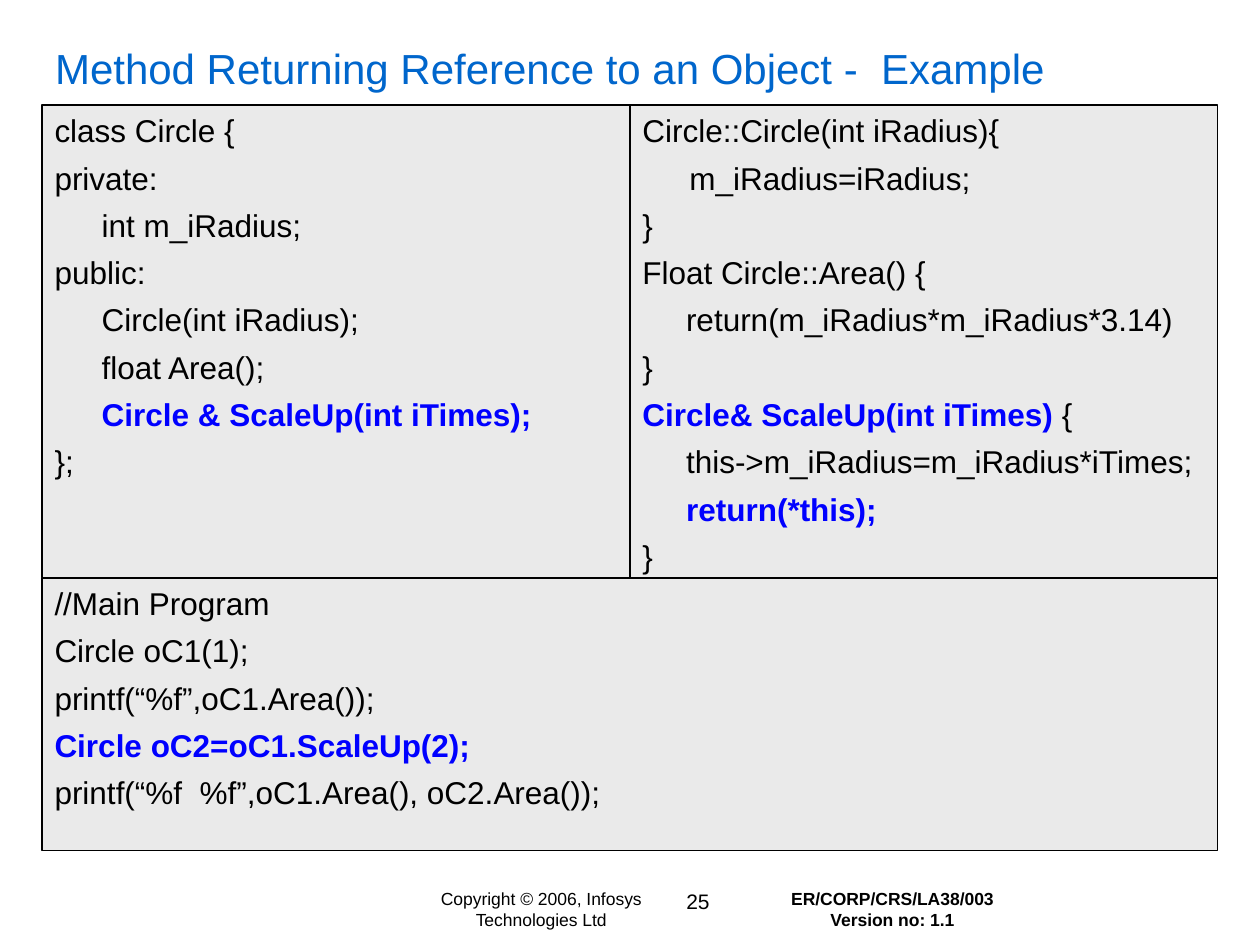
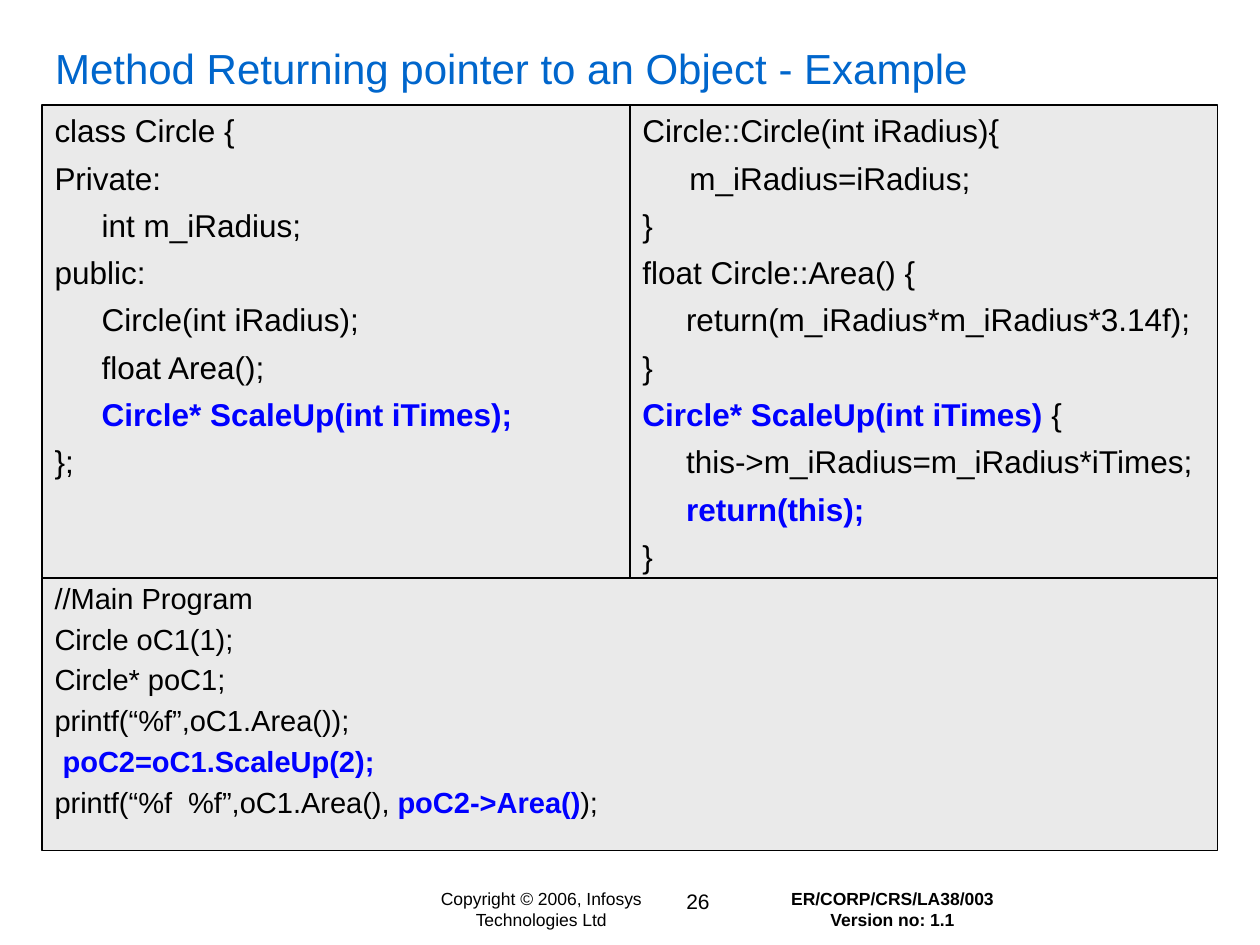
"""Builds two slides of C++ code on methods that return a reference or a pointer to an object."""
from pptx import Presentation
from pptx import util as u
from pptx.dml.color import RGBColor
from pptx.enum import shapes, text

COLOURS = {"title": "0066CC", "code": "000000", "key": "0000FF", "panel": "EAEAEA", "edge": "000000"}
FONT = "Arial"

# Text between bars is highlighted.
DECLARATION = [
    "class Circle {", "%(private)s:", "\tint m_iRadius;", "public:", "\tCircle(int iRadius);",
    "\tfloat Area();", "\t|%(declared)s ScaleUp(int iTimes);|", "};",
]
DEFINITION = [
    "Circle::Circle(int iRadius){", "\tm_iRadius=iRadius;", "}", "%(float)s Circle::Area() {",
    "     return(m_iRadius*m_iRadius*%(pi)s", "}", "|%(defined)s ScaleUp(int iTimes)| {",
    "     this->m_iRadius=m_iRadius*iTimes;", "     |return(%(result)s);|", "}",
]
EXAMPLES = [
    {
        "title": "Method Returning Reference to an Object -  Example",
        "page": 25,
        "words": {"private": "private", "declared": "Circle &", "float": "Float", "pi": "3.14)",
                  "defined": "Circle&", "result": "*this"},
        "main": ["//Main Program", "Circle oC1(1);", "printf(“%f”,oC1.Area());",
                 "|Circle oC2=oC1.ScaleUp(2);|", "printf(“%f  %f”,oC1.Area(), oC2.Area());"],
        "main_size": 18,
        "main_spacing": 1.0,
    },
    {
        "title": "Method Returning pointer to an Object - Example",
        "page": 26,
        "words": {"private": "Private", "declared": "Circle*", "float": "float", "pi": "3.14f);",
                  "defined": "Circle*", "result": "this"},
        "main": ["//Main Program", "Circle oC1(1);", "Circle* poC1;", "printf(“%f”,oC1.Area());",
                 "| poC2=oC1.ScaleUp(2);|", "printf(“%f  %f”,oC1.Area(), |poC2->Area()|);"],
        "main_size": 16.6,
        "main_spacing": 0.9,
    },
]
COPYRIGHT = ["Copyright © 2006, Infosys Technologies Ltd"]
VERSION = ["ER/CORP/CRS/LA38/003", "Version no: 1.1"]

LEFT, TOP = 0.85, 2.12
HALF_WIDTH, CLASS_HEIGHT, MAIN_HEIGHT = 11.85, 9.53, 5.5
FOOTER_TOP = 17.78
HANGING = 0.95


def colour(name):
    return RGBColor.from_string(COLOURS[name])


def style(paragraph, size, ink, bold=False):
    font = paragraph.font
    font.name, font.size, font.bold = FONT, u.Pt(size), bold
    font.color.rgb = colour(ink)


def add_label(slide, place, lines, size, ink="code", bold=False, centred=True, wrap=True):
    frame = slide.shapes.add_textbox(*map(u.Cm, place)).text_frame
    frame.word_wrap = wrap
    frame.text = "\n".join(lines)
    for paragraph in frame.paragraphs:
        paragraph.alignment = text.PP_ALIGN.CENTER if centred else text.PP_ALIGN.LEFT
        style(paragraph, size, ink, bold)
    return frame


def add_code(slide, place, lines, size=18, spacing=1.0):
    panel = slide.shapes.add_shape(shapes.MSO_SHAPE.RECTANGLE, *map(u.Cm, place))
    panel.shadow.inherit = False
    panel.fill.solid()
    panel.fill.fore_color.rgb = colour("panel")
    panel.line.color.rgb = colour("edge")
    panel.line.width = u.Pt(0.75)
    frame = panel.text_frame
    frame.word_wrap = True
    frame.vertical_anchor = text.MSO_ANCHOR.TOP
    for number, line in enumerate(lines):
        paragraph = frame.add_paragraph() if number else frame.paragraphs[0]
        paragraph.alignment = text.PP_ALIGN.LEFT
        paragraph.line_spacing = spacing
        if number:
            paragraph.space_before = u.Pt(5.4)
        properties = paragraph._p.get_or_add_pPr()
        properties.set("marL", str(u.Cm(HANGING)))
        properties.set("indent", str(-u.Cm(HANGING)))
        style(paragraph, size, "code")
        for position, part in enumerate(line.split("|")):
            if part:
                run = paragraph.add_run()
                run.text = part
                if position % 2:
                    run.font.bold = True
                    run.font.color.rgb = colour("key")


def add_example(deck, example):
    slide = deck.slides.add_slide(deck.slide_layouts[6])
    add_label(slide, (8.05, FOOTER_TOP, 5.72, 1.12), COPYRIGHT, 10)
    add_label(slide, (12.85, FOOTER_TOP, 2.44, 0.76), [str(example["page"])], 12, wrap=False)
    add_label(slide, (14.6, FOOTER_TOP, 6.78, 1.12), VERSION, 10, bold=True)
    title = add_label(slide, (0.86, 0.66, 23.83, 1.42), [example["title"]], 24, "title", centred=False)
    title.vertical_anchor = text.MSO_ANCHOR.MIDDLE
    for column, template in enumerate((DECLARATION, DEFINITION)):
        lines = [line % example["words"] for line in template]
        add_code(slide, (LEFT + column * HALF_WIDTH, TOP, HALF_WIDTH, CLASS_HEIGHT), lines)
    add_code(slide, (LEFT, TOP + CLASS_HEIGHT, 2 * HALF_WIDTH, MAIN_HEIGHT),
             example["main"], example["main_size"], example["main_spacing"])


def main():
    deck = Presentation()
    deck.slide_width, deck.slide_height = u.Cm(25.4), u.Cm(19.05)
    for example in EXAMPLES:
        add_example(deck, example)
    deck.save("out.pptx")


if __name__ == "__main__":
    main()
